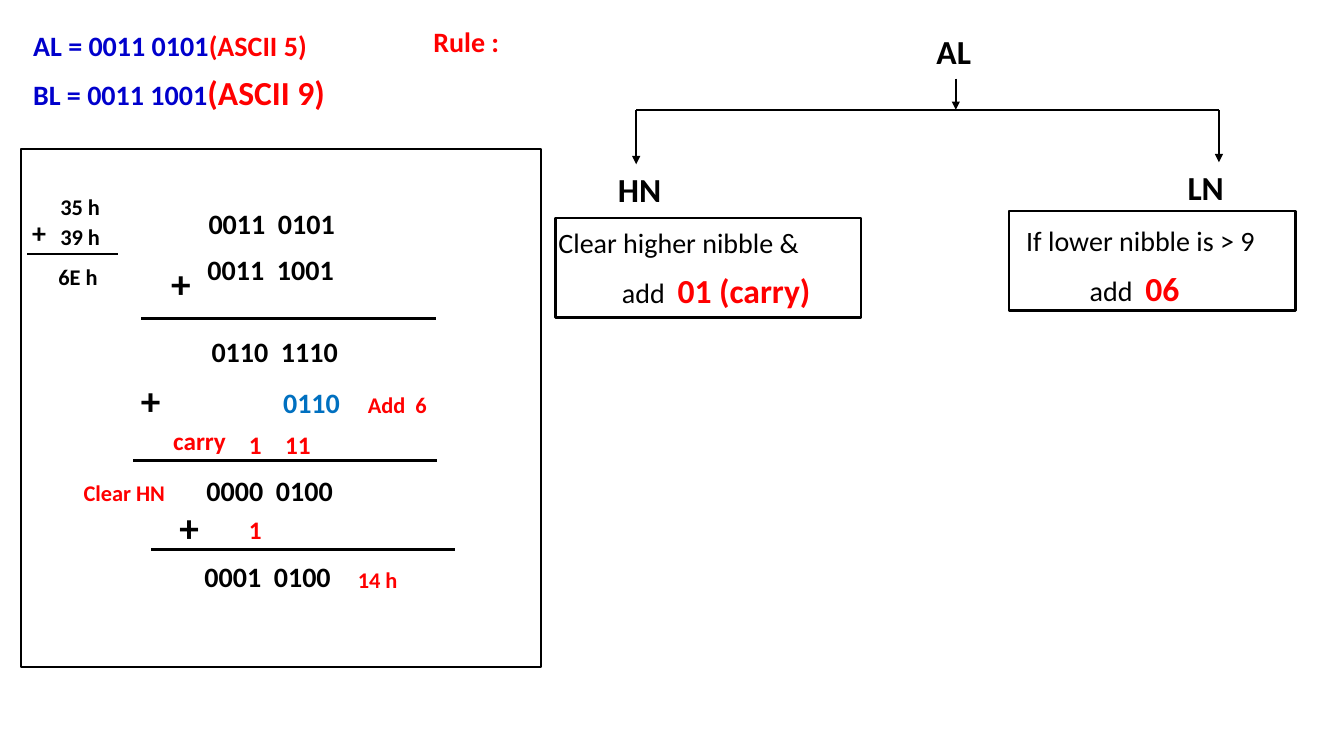
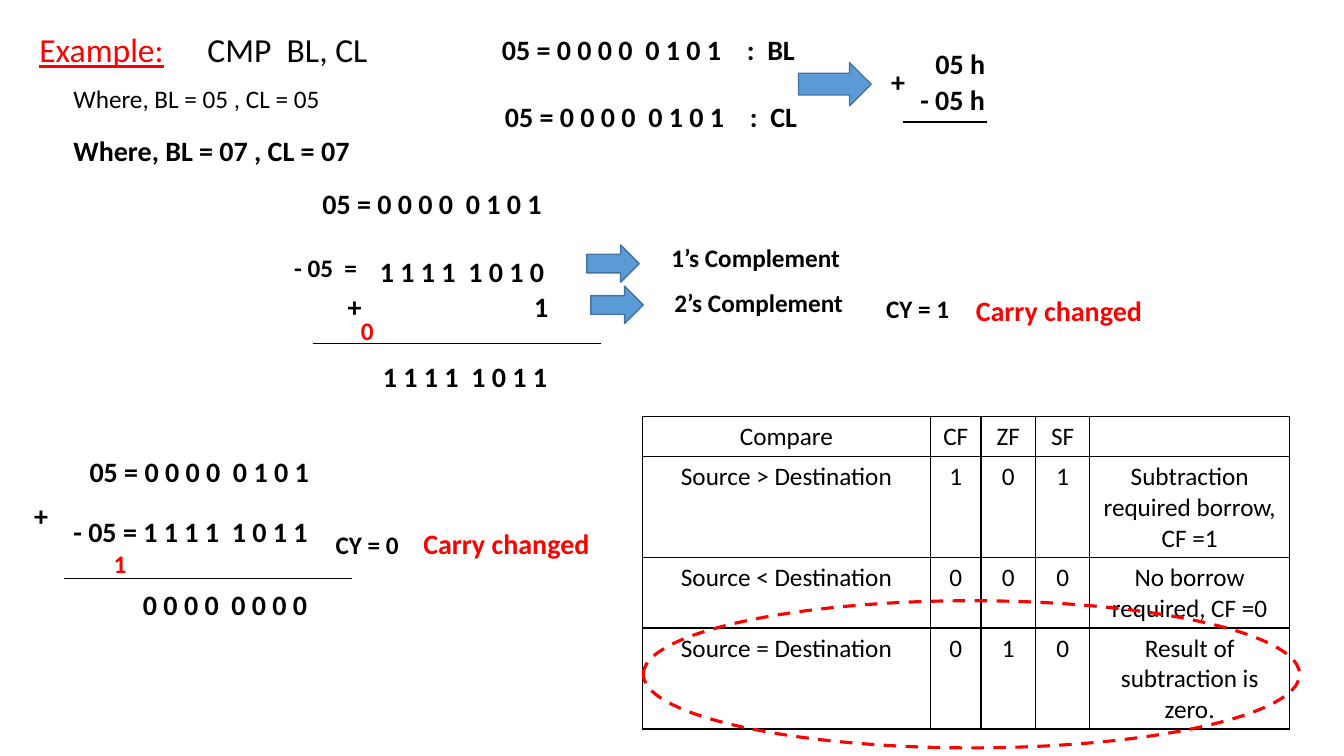
from lxml.etree import SubElement
from pptx import Presentation
from pptx.dml.color import RGBColor
from pptx.enum.dml import MSO_LINE
from pptx.enum.shapes import MSO_CONNECTOR, MSO_SHAPE
from pptx.enum.text import MSO_ANCHOR, MSO_AUTO_SIZE, PP_ALIGN
from pptx.oxml.ns import qn
from pptx.util import Inches, Pt

FONT = "Calibri"
BLACK = RGBColor(0x00, 0x00, 0x00)
RED = RGBColor(0xFF, 0x00, 0x00)
NAVY = RGBColor(0x00, 0x00, 0xCC)
BLUE = RGBColor(0x00, 0x70, 0xC0)
ARROW_FILL = RGBColor(0x5B, 0x9B, 0xD5)
ARROW_EDGE = RGBColor(0x43, 0x73, 0x9E)


def add_text(slide, left, top, width, paragraphs, spacing=1.0, indent=0):
    height = 0.1 + sum(max(run[1] for run in runs) for runs in paragraphs) / 60
    box = slide.shapes.add_textbox(Inches(left), Inches(top), Inches(width), Inches(height))
    frame = box.text_frame
    frame.word_wrap = True
    for index, runs in enumerate(paragraphs):
        paragraph = frame.add_paragraph() if index else frame.paragraphs[0]
        paragraph.line_spacing = spacing
        if index:
            paragraph.space_before = Pt(10)
            paragraph._p.get_or_add_pPr().set("marL", str(Inches(indent)))
        for text, size, color, bold in runs:
            run = paragraph.add_run()
            run.text = text
            run.font.name = FONT
            run.font.size = Pt(size)
            run.font.bold = bold
            run.font.color.rgb = color


def add_line(slide, x1, y1, x2, y2, weight, arrow=False):
    line = slide.shapes.add_connector(
        MSO_CONNECTOR.STRAIGHT, Inches(x1), Inches(y1), Inches(x2), Inches(y2))
    line.line.color.rgb = BLACK
    line.line.width = Pt(weight)
    if arrow:
        SubElement(line.line._get_or_add_ln(), qn("a:tailEnd"), type="triangle")
    SubElement(line._element.spPr, qn("a:effectLst"))


prs = Presentation()
prs.slide_width = Inches(13.33)
prs.slide_height = Inches(7.5)
title_only, blank = prs.slide_layouts[5], prs.slide_layouts[6]

addition = prs.slides.add_slide(blank)

add_text(addition, 0.23, 0.27, 3.32, [
    [("AL = 0011 0101", 20, NAVY, True), ("(ASCII 5)", 20, RED, True)],
    [("BL = 0011 1001", 20, NAVY, True), ("(ASCII 9)", 24, RED, True)],
], spacing=0.9)
add_text(addition, 4.2, 0.23, 1.6, [[("Rule :", 20, RED, True)]], spacing=0.9)

for x1, y1, x2, y2, arrow in [
    (9.48, 0.78, 9.48, 1.09, True),
    (6.31, 1.09, 12.09, 1.09, False),
    (6.31, 1.09, 6.31, 1.63, True),
    (12.09, 1.09, 12.09, 1.61, True),
]:
    add_line(addition, x1, y1, x2, y2, 1.5, arrow)

for left, top, width, height in [
    (0.21, 1.48, 5.16, 5.14),
    (5.51, 2.16, 3.03, 0.99),
    (10.01, 2.09, 2.84, 0.99),
]:
    frame_box = addition.shapes.add_shape(
        MSO_SHAPE.RECTANGLE, Inches(left), Inches(top), Inches(width), Inches(height))
    frame_box.shadow.inherit = False
    frame_box.fill.background()
    frame_box.line.color.rgb = BLACK
    frame_box.line.width = Pt(1.5)

for left, top, width, condition, addend in [
    (5.44, 2.23, 3.1, "Clear higher nibble &", "01 (carry)"),
    (10.08, 2.21, 2.77, "If lower nibble is > 9", "06"),
]:
    add_text(addition, left, top, width, [
        [(condition, 20, BLACK, False)],
        [("add  ", 20, BLACK, False), (addend, 24, RED, True)],
    ], spacing=0.9, indent=0.63)

for left, top, width, text, size, color in [
    (9.19, 0.26, 1.37, "AL", 24, BLACK),
    (6.03, 1.63, 1.65, "HN", 24, BLACK),
    (11.68, 1.61, 1.65, "LN", 24, BLACK),
    (0.5, 1.87, 0.84, "35 h", 16, BLACK),
    (0.5, 2.16, 0.84, "39 h", 16, BLACK),
    (0.22, 2.09, 0.56, "+", 20, BLACK),
    (0.48, 2.56, 0.9, "6E h", 16, BLACK),
    (1.97, 2.0, 2, "0011  0101", 20, BLACK),
    (1.96, 2.46, 2, "0011  1001", 20, BLACK),
    (1.6, 2.52, 0.56, "+", 28, BLACK),
    (2.0, 3.27, 2, "0110  1110", 20, BLACK),
    (1.3, 3.68, 0.56, "+", 28, BLACK),
    (2.71, 3.78, 1, "0110", 20, BLUE),
    (3.55, 3.83, 1.39, "Add  6", 16, RED),
    (1.62, 4.17, 0.8, "carry", 18, RED),
    (2.37, 4.21, 0.33, "1", 18, RED),
    (2.73, 4.21, 0.6, "11", 18, RED),
    (0.73, 4.7, 1.39, "Clear HN", 16, RED),
    (1.95, 4.65, 2, "0000  0100", 20, BLACK),
    (1.68, 4.94, 0.56, "+", 28, BLACK),
    (2.37, 5.05, 0.33, "1", 18, RED),
    (1.93, 5.5, 2, "0001  0100", 20, BLACK),
    (3.45, 5.57, 1.39, "14 h", 16, RED),
]:
    add_text(addition, left, top, width, [[(text, size, color, True)]])

for x1, x2, y, weight in [
    (0.27, 1.17, 2.52, 1),
    (1.4, 4.32, 3.16, 2.25),
    (1.32, 4.33, 4.57, 2.25),
    (1.5, 4.51, 5.45, 2.25),
]:
    add_line(addition, x1, y, x2, y, weight)

compare = prs.slides.add_slide(title_only)

title = compare.shapes.title
title.left, title.top = Inches(0.29), Inches(0.24)
title.width, title.height = Inches(1.49), Inches(0.5)
title_frame = title.text_frame
title_frame.auto_size = MSO_AUTO_SIZE.NONE
title_frame.vertical_anchor = MSO_ANCHOR.TOP
title_frame.paragraphs[0].alignment = PP_ALIGN.LEFT
title_run = title_frame.paragraphs[0].add_run()
title_run.text = "Example:"
title_run.font.name = FONT
title_run.font.size = Pt(24)
title_run.font.underline = True
title_run.font.color.rgb = RED

for left, top, text, size, bold in [
    (1.96, 0.28, "CMP  BL, CL", 24, False),
    (0.63, 0.81, "Where, BL = 05 , CL = 05", 18, False),
    (0.63, 1.31, "Where, BL = 07 , CL = 07", 20, True),
]:
    add_text(compare, left, top, 3.43, [[(text, size, BLACK, bold)]], spacing=0.9)

for left, top, width, text, size, color in [
    (4.88, 0.27, 2.45, "05 = 0 0 0 0  0 1 0 1", 20, BLACK),
    (7.31, 0.27, 0.8, ":  BL", 20, BLACK),
    (4.91, 0.94, 2.45, "05 = 0 0 0 0  0 1 0 1", 20, BLACK),
    (7.34, 0.94, 0.8, ":  CL", 20, BLACK),
    (8.74, 0.59, 0.39, "+", 20, BLACK),
    (9.18, 0.41, 0.78, "05 h", 20, BLACK),
    (9.03, 0.77, 0.93, "- 05 h", 20, BLACK),
    (3.1, 1.8, 2.86, "05 = 0 0 0 0  0 1 0 1", 20, BLACK),
    (2.82, 2.45, 0.86, "- 05  =", 18, BLACK),
    (3.67, 2.48, 2.2, "1 1 1 1  1 0 1 0", 20, BLACK),
    (3.35, 2.82, 0.39, "+", 20, BLACK),
    (5.2, 2.82, 0.39, "1", 20, BLACK),
    (3.48, 3.08, 0.33, "0", 18, RED),
    (3.7, 3.52, 2.2, "1 1 1 1  1 0 1 1", 20, BLACK),
    (6.56, 2.36, 2.19, "1’s Complement", 18, BLACK),
    (6.59, 2.8, 2.12, "2’s Complement", 18, BLACK),
    (8.69, 2.86, 0.89, "CY = 1", 18, BLACK),
    (9.58, 2.86, 1.95, "Carry changed", 20, RED),
    (0.79, 4.46, 2.8, "05 = 0 0 0 0  0 1 0 1", 20, BLACK),
    (0.24, 4.9, 0.39, "+", 20, BLACK),
    (0.63, 5.05, 2.8, "- 05 = 1 1 1 1  1 0 1 1", 20, BLACK),
    (1.03, 5.39, 0.33, "1", 18, RED),
    (1.32, 5.78, 2.2, "0 0 0 0  0 0 0 0", 20, BLACK),
    (3.23, 5.2, 0.89, "CY = 0", 18, BLACK),
    (4.1, 5.17, 1.95, "Carry changed", 20, RED),
]:
    add_text(compare, left, top, width, [[(text, size, color, True)]])

for x1, x2, y in [(8.96, 9.79, 1.21), (3.1, 5.96, 3.41), (0.63, 3.49, 5.74)]:
    add_line(compare, x1, y, x2, y, 1)

for left, top, width, height in [
    (7.92, 0.62, 0.72, 0.43),
    (5.82, 2.43, 0.52, 0.37),
    (5.86, 2.84, 0.52, 0.37),
]:
    step_arrow = compare.shapes.add_shape(
        MSO_SHAPE.RIGHT_ARROW, Inches(left), Inches(top), Inches(width), Inches(height))
    step_arrow.shadow.inherit = False
    step_arrow.fill.solid()
    step_arrow.fill.fore_color.rgb = ARROW_FILL
    step_arrow.line.color.rgb = ARROW_EDGE
    step_arrow.line.width = Pt(1)

flag_rows = [
    ("Compare", "CF", "ZF", "SF", ""),
    ("Source > Destination", "1", "0", "1", "Subtraction required borrow, CF =1"),
    ("Source < Destination", "0", "0", "0", "No borrow required, CF =0"),
    ("Source = Destination", "0", "1", "0", "Result of subtraction is zero."),
]
column_widths = [2.86, 0.5, 0.54, 0.54, 1.98]
row_heights = [0.4, 1.0, 0.7, 1.0]
flags = compare.shapes.add_table(
    len(row_heights), len(column_widths), Inches(6.37), Inches(4.13),
    Inches(sum(column_widths)), Inches(sum(row_heights))).table
flags.first_row = False
flags.horz_banding = False
for column, width in zip(flags.columns, column_widths):
    column.width = Inches(width)
for row, height, texts in zip(flags.rows, row_heights, flag_rows):
    row.height = Inches(height)
    for cell, text in zip(row.cells, texts):
        properties = cell._tc.get_or_add_tcPr()
        for side in ("a:lnL", "a:lnR", "a:lnT", "a:lnB"):
            border = SubElement(properties, qn(side), w=str(Pt(1)))
            border_fill = SubElement(border, qn("a:solidFill"))
            SubElement(border_fill, qn("a:srgbClr"), val=str(BLACK))
        cell.fill.background()
        if text:
            paragraph = cell.text_frame.paragraphs[0]
            paragraph.alignment = PP_ALIGN.CENTER
            run = paragraph.add_run()
            run.text = text
            run.font.name = FONT
            run.font.size = Pt(18)
            run.font.color.rgb = BLACK

equal_case = compare.shapes.add_shape(
    MSO_SHAPE.OVAL, Inches(6.38), Inches(5.96), Inches(6.51), Inches(1.46))
equal_case.shadow.inherit = False
equal_case.fill.background()
equal_case.line.color.rgb = RED
equal_case.line.width = Pt(2.25)
equal_case.line.dash_style = MSO_LINE.DASH

prs.save("out.pptx")
